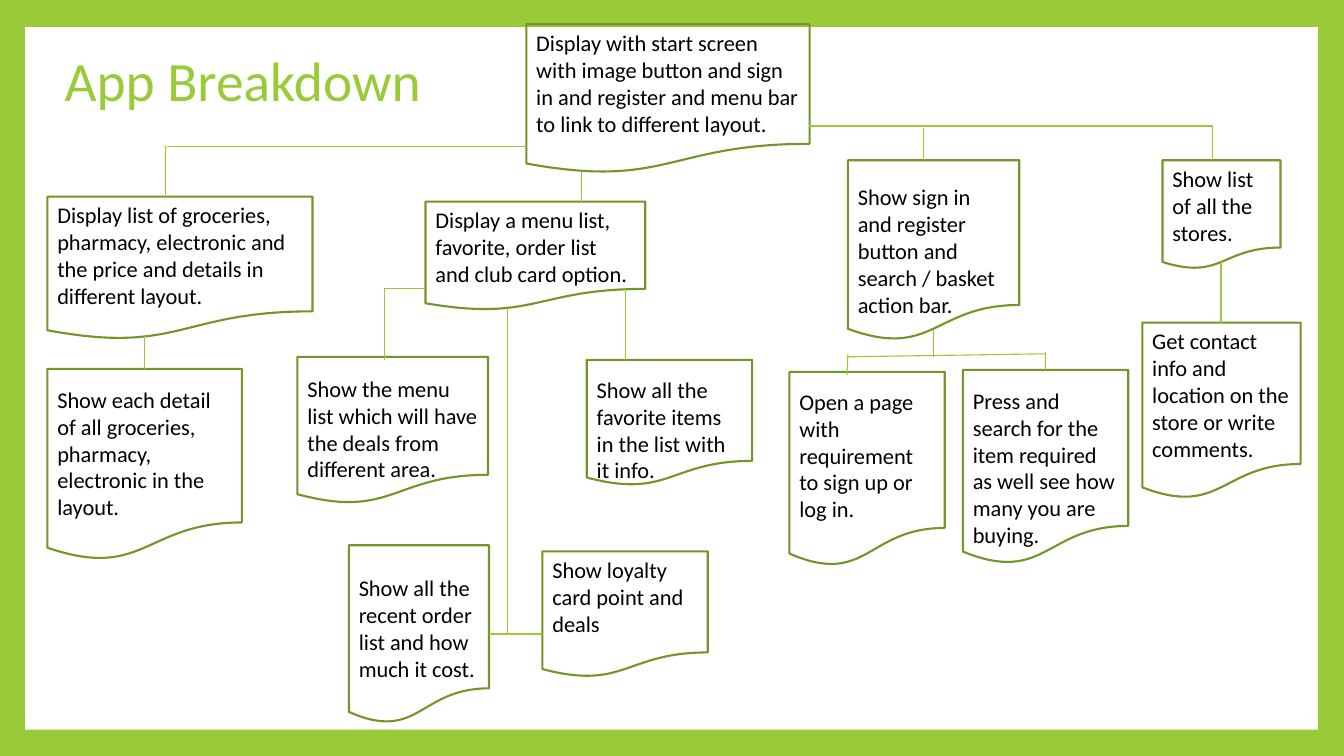
from itertools import pairwise

from lxml import etree
from pptx import Presentation
from pptx.dml.color import RGBColor
from pptx.enum.shapes import MSO_CONNECTOR, MSO_SHAPE
from pptx.enum.text import MSO_ANCHOR, MSO_AUTO_SIZE, PP_ALIGN
from pptx.oxml.ns import qn
from pptx.util import Inches, Pt

DOCUMENT = MSO_SHAPE.FLOWCHART_DOCUMENT
RECTANGLE = MSO_SHAPE.RECTANGLE
STRAIGHT = MSO_CONNECTOR.STRAIGHT
MIDDLE = MSO_ANCHOR.MIDDLE
TOP = MSO_ANCHOR.TOP
LEFT = PP_ALIGN.LEFT
FIT_SHAPE = MSO_AUTO_SIZE.SHAPE_TO_FIT_TEXT
NO_FIT = MSO_AUTO_SIZE.NONE

GREEN = RGBColor(0x99, 0xCB, 0x38)
DARK_GREEN = RGBColor(0x71, 0x96, 0x29)
WHITE = RGBColor(0xFF, 0xFF, 0xFF)
BLACK = RGBColor(0, 0, 0)
FONT = "Calibri"

# Document box, text offset from its top, text height, wording
NOTES = [
    ((5.22, 0.24, 2.81, 1.48), 0, 0.83,
     "Display with start screen with image button and sign in and register "
     "and menu bar to link to different layout."),
    ((0.47, 1.95, 2.63, 1.42), 0, 1.56,
     "Display list of groceries, pharmacy, electronic and the price and "
     "details in different layout."),
    ((4.22, 2, 2.18, 1.08), 0, 0.91,
     "Display a menu list, favorite, order list and club card option."),
    ((11.53, 1.59, 1.17, 1.08), 0, 0.91, "Show list of all the stores."),
    ((8.41, 1.59, 1.7, 1.79), 0.18, 1.45,
     "Show sign in and register button and search / basket action bar."),
    ((0.47, 3.66, 1.93, 1.9), 0.12, 1.18,
     "Show each detail of all groceries, pharmacy, electronic in the layout."),
    ((7.83, 3.69, 1.54, 1.93), 0.11, 1.45,
     "Open a page with requirement to sign up or log in."),
    ((2.95, 3.54, 1.89, 1.46), 0.13, 1.45,
     "Show the menu list which will have the deals from different area."),
    ((11.33, 3.2, 1.57, 1.75), 0, 1.73,
     "Get contact info and location on the store or write comments."),
    ((5.82, 3.57, 1.64, 1.25), 0.11, 1.18,
     "Show all the favorite items in the list with it info."),
    ((3.46, 5.41, 1.39, 1.77), 0.24, 0.65,
     "Show all the recent order list and how much it cost."),
    ((5.38, 5.47, 1.64, 1.25), 0, 0.91, "Show loyalty card point and deals"),
    ((9.55, 3.67, 1.64, 1.93), 0.12, 1.72,
     "Press and search for the item required as well see how many you are "
     "buying."),
]

# Each route is a chain of points joined by straight lines
ROUTES = [
    # From the start screen
    [(5.22, 1.45), (1.66, 1.45)],
    [(1.64, 1.45), (1.64, 1.95)],
    [(5.77, 1.71), (5.77, 2)],
    [(8.02, 1.25), (12.03, 1.25), (12.03, 1.59)],
    [(9.16, 1.27), (9.16, 1.59)],
    # From the groceries list
    [(1.43, 3.32), (1.43, 3.66)],
    # From the menu list
    [(4.22, 2.86), (3.81, 2.86), (3.81, 3.57)],
    [(6.2, 2.86), (6.2, 3.57)],
    [(5.03, 3.06), (5.03, 6.29), (4.85, 6.29)],
    [(5.03, 6.29), (5.38, 6.29)],
    # From the sign in screen
    [(9.26, 3.27), (9.26, 3.54)],
    [(8.41, 3.54), (10.37, 3.51)],
    [(8.41, 3.51), (8.4, 3.72)],
    [(10.37, 3.49), (10.37, 3.67)],
    # From the stores list
    [(12.11, 2.6), (12.11, 3.2)],
]


def inches(*lengths):
    return [Inches(length) for length in lengths]


def write(paragraph, text, size, color):
    run = paragraph.add_run()
    run.text = text
    run.font.name = FONT
    run.font.size = Pt(size)
    run.font.color.rgb = color


def add_frame(slide, box):
    """Green border around a white panel that lies behind the title."""
    slide.background.fill.solid()
    slide.background.fill.fore_color.rgb = GREEN
    panel = slide.shapes.add_shape(RECTANGLE, *inches(*box))
    panel.shadow.inherit = False
    panel.fill.solid()
    panel.fill.fore_color.rgb = WHITE
    panel.line.fill.background()
    slide.shapes.title._element.addprevious(panel._element)


def add_title(slide, box, text):
    title = slide.shapes.title
    title.left, title.top, title.width, title.height = inches(*box)
    frame = title.text_frame
    frame.auto_size = NO_FIT
    frame.word_wrap = True
    frame.vertical_anchor = MIDDLE
    paragraph = frame.paragraphs[0]
    paragraph.alignment = LEFT
    paragraph.line_spacing = 0.9
    write(paragraph, text, 39.6, GREEN)


def add_note(slide, box, text_offset, text_height, text):
    """Document outline grouped with its text."""
    left, top, width, _ = box
    group = slide.shapes.add_group_shape()

    outline = group.shapes.add_shape(DOCUMENT, *inches(*box))
    outline.shadow.inherit = False
    outline.fill.background()
    outline.line.color.rgb = DARK_GREEN
    outline.line.width = Pt(1.5)

    text_box = group.shapes.add_textbox(
        *inches(left, top + text_offset, width, text_height))
    frame = text_box.text_frame
    frame.word_wrap = True
    frame.auto_size = FIT_SHAPE
    frame.vertical_anchor = TOP
    write(frame.paragraphs[0], text, 16, BLACK)


def add_route(slide, points):
    for start, end in pairwise(points):
        line = slide.shapes.add_connector(STRAIGHT, *inches(*start, *end))
        line.line.color.rgb = GREEN
        line.line.width = Pt(0.79)
        etree.SubElement(line._element.spPr, qn("a:effectLst"))


def main():
    presentation = Presentation()
    presentation.slide_width = Inches(13.33)
    presentation.slide_height = Inches(7.5)
    title_only = presentation.slide_layouts.get_by_name("Title Only")
    slide = presentation.slides.add_slide(title_only)

    add_frame(slide, (0.25, 0.27, 12.82, 6.97))
    add_title(slide, (0.54, 0.45, 4.69, 0.75), "App Breakdown")
    for note in NOTES:
        add_note(slide, *note)
    for route in ROUTES:
        add_route(slide, route)

    presentation.save("out.pptx")


if __name__ == "__main__":
    main()
